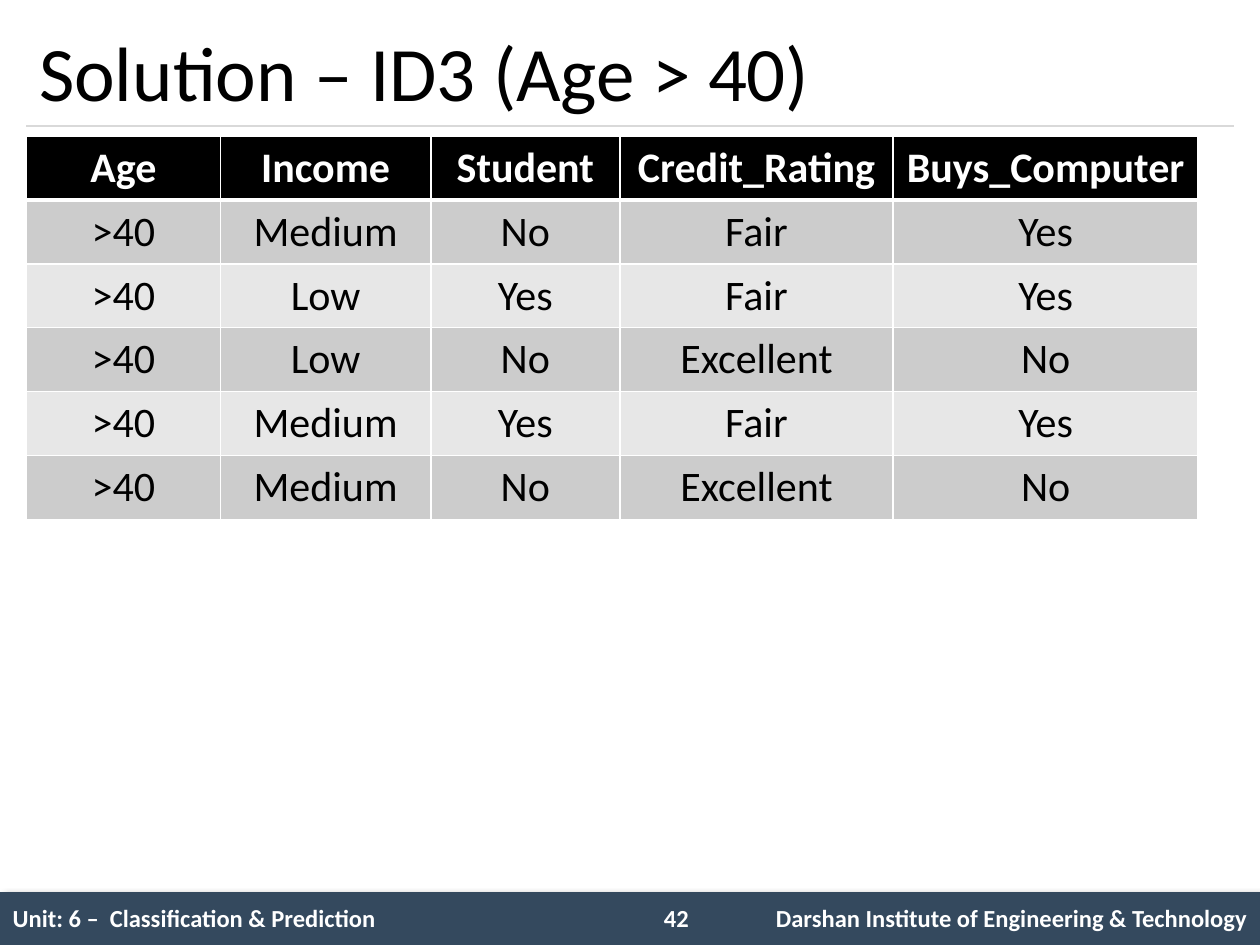
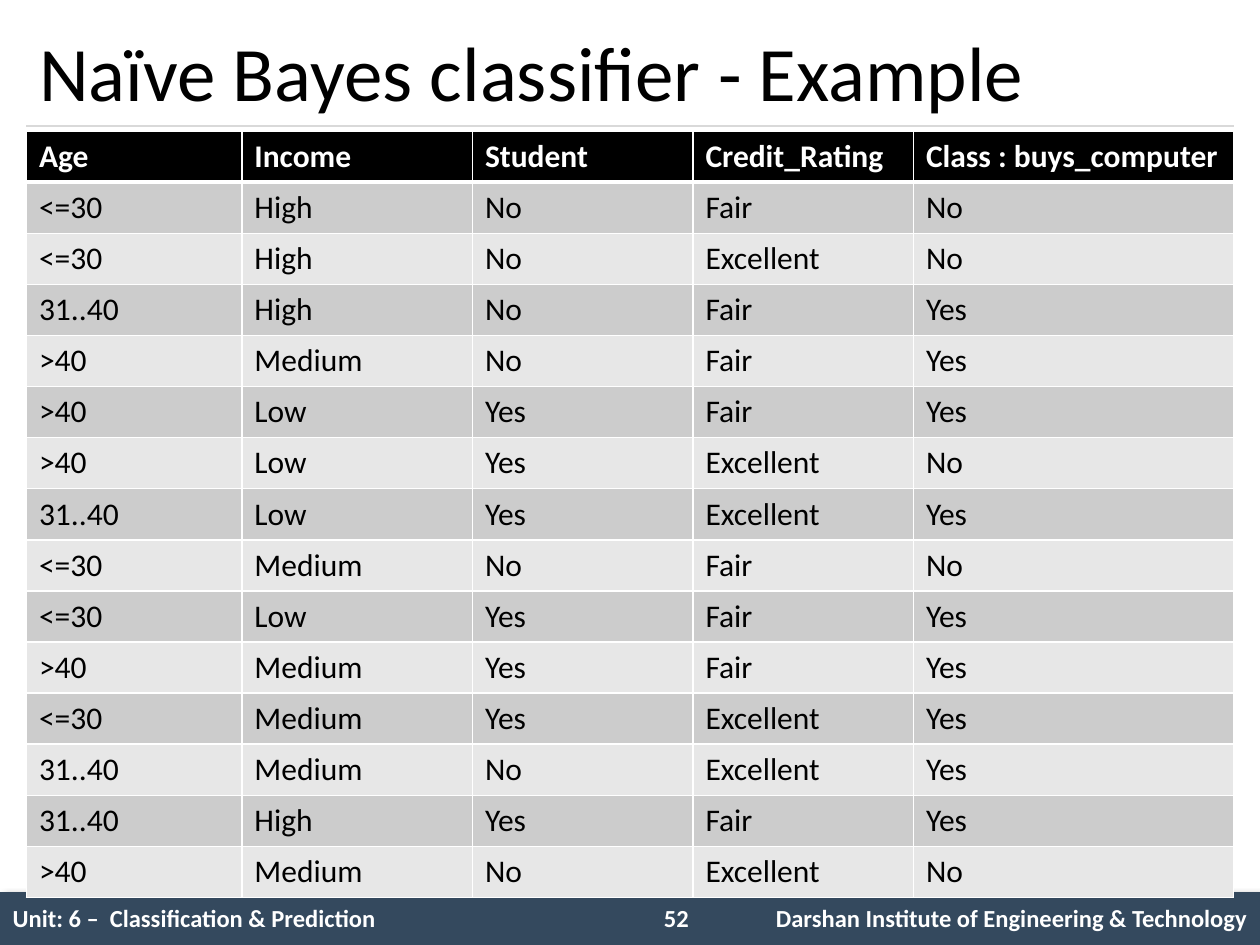
"""Build two classification slides, each with a title, a data table and a shared footer."""
import pptx
import pptx.util
import pptx.dml.color
import pptx.enum.shapes
import pptx.enum.text
import pptx.oxml
import pptx.oxml.ns

Inches = pptx.util.Inches
Pt = pptx.util.Pt
ALIGN = pptx.enum.text.PP_ALIGN
ANCHOR = pptx.enum.text.MSO_ANCHOR
FONT = "Calibri"
WHITE, BLACK, NAVY, RULE = "FFFFFF", "000000", "34495E", "D9D9D9"
BANDS = ["E7E7E7", "CCCCCC"]
PLAIN_TABLE = "{2D5ABB26-0587-4C30-8999-92F81FD0307C}"
NAMESPACE = pptx.oxml.ns.nsdecls("a")
UNIT = "Unit: 6 –  Classification & Prediction"
INSTITUTE = "Darshan Institute of Engineering & Technology"


def colour(value):
    return pptx.dml.color.RGBColor.from_string(value)


def write(frame, text, size=14, ink=WHITE, bold=False, align=ALIGN.LEFT):
    para = frame.paragraphs[0]
    para.alignment = align
    span = para.add_run()
    span.text = text
    span.font.name = FONT
    span.font.size = Pt(size)
    span.font.bold = bold
    span.font.color.rgb = colour(ink)


slides = [
    dict(title="Solution – ID3 (Age > 40)", number="42", top=1.08, row_height=0.5,
         columns=[1.54, 1.67, 1.5, 2.17, 2.42], size=24,
         align=ALIGN.CENTER, anchor=ANCHOR.TOP,
         header=["Age", "Income", "Student", "Credit_Rating", "Buys_Computer"],
         records="""
            >40 Medium No Fair Yes
            >40 Low Yes Fair Yes
            >40 Low No Excellent No
            >40 Medium Yes Fair Yes
            >40 Medium No Excellent No"""),
    dict(title="Naïve Bayes classifier - Example", number="52", top=1.04, row_height=0.4,
         columns=[1.71, 1.83, 1.75, 1.75, 2.54], size=18,
         align=ALIGN.LEFT, anchor=ANCHOR.MIDDLE,
         header=["Age", "Income", "Student", "Credit_Rating", "Class : buys_computer"],
         records="""
            <=30 High No Fair No
            <=30 High No Excellent No
            31..40 High No Fair Yes
            >40 Medium No Fair Yes
            >40 Low Yes Fair Yes
            >40 Low Yes Excellent No
            31..40 Low Yes Excellent Yes
            <=30 Medium No Fair No
            <=30 Low Yes Fair Yes
            >40 Medium Yes Fair Yes
            <=30 Medium Yes Excellent Yes
            31..40 Medium No Excellent Yes
            31..40 High Yes Fair Yes
            >40 Medium No Excellent No"""),
]

deck = pptx.Presentation()
deck.slide_width = Inches(10)
deck.slide_height = Inches(7.5)

for slide in slides:
    page = deck.slides.add_slide(deck.slide_layouts[5])
    page.background.fill.solid()
    page.background.fill.fore_color.rgb = colour(WHITE)

    band = page.shapes.add_shape(pptx.enum.shapes.MSO_SHAPE.RECTANGLE,
                                 Inches(0), Inches(7.08), Inches(10), Inches(0.42))
    band.fill.solid()
    band.fill.fore_color.rgb = colour(NAVY)
    band.line.fill.background()
    band.shadow.inherit = False
    effects = band._element.spPr.find(pptx.oxml.ns.qn("a:effectLst"))
    effects.append(pptx.oxml.parse_xml(
        f'<a:outerShdw {NAMESPACE} blurRad="{Pt(4)}" dist="{Pt(3)}" dir="2700000">'
        f'<a:srgbClr val="{BLACK}"><a:alpha val="40000"/></a:srgbClr></a:outerShdw>'))

    rule = page.shapes.add_connector(pptx.enum.shapes.MSO_CONNECTOR.STRAIGHT,
                                     Inches(0.21), Inches(1), Inches(9.79), Inches(1))
    rule.line.color.rgb = colour(RULE)
    rule.line.width = Pt(0.75)
    rule._element.spPr.append(pptx.oxml.parse_xml(f"<a:effectLst {NAMESPACE}/>"))

    title = page.shapes.title
    title.left, title.top = Inches(0.21), Inches(0.12)
    title.width, title.height = Inches(9.58), Inches(0.88)
    title.text_frame.auto_size = pptx.enum.text.MSO_AUTO_SIZE.NONE
    title.text_frame.vertical_anchor = ANCHOR.MIDDLE
    write(title.text_frame, slide["title"], size=44, ink=BLACK)

    records = [line.split() for line in slide["records"].strip().splitlines()]
    footer = dict(rows=[[UNIT, "", INSTITUTE]], columns=[5.08, 0.67, 4.25],
                  left=0, top=7.08, row_height=0.43, size=14, anchor=ANCHOR.MIDDLE,
                  aligns=[ALIGN.LEFT, ALIGN.LEFT, ALIGN.RIGHT], grid=False)
    data = dict(rows=[slide["header"]] + records, columns=slide["columns"],
                left=0.21, top=slide["top"], row_height=slide["row_height"],
                size=slide["size"], anchor=slide["anchor"],
                aligns=[slide["align"]] * 5, grid=True)

    for layout in (footer, data):
        rows, columns = layout["rows"], layout["columns"]
        frame = page.shapes.add_table(
            len(rows), len(columns), Inches(layout["left"]), Inches(layout["top"]),
            Inches(sum(columns)), Inches(layout["row_height"] * len(rows)))
        table = frame.table
        table._tbl.tblPr.find(pptx.oxml.ns.qn("a:tableStyleId")).text = PLAIN_TABLE
        table.horz_banding = False
        for column, width in zip(table.columns, columns):
            column.width = Inches(width)
        for row_index, row in enumerate(rows):
            table.rows[row_index].height = Inches(layout["row_height"])
            for column_index, text in enumerate(row):
                cell = table.cell(row_index, column_index)
                cell.vertical_anchor = layout["anchor"]
                is_header = row_index == 0
                if text:
                    write(cell.text_frame, text, size=layout["size"], bold=is_header,
                          ink=WHITE if is_header else BLACK,
                          align=layout["aligns"][column_index])
                if not layout["grid"]:
                    cell.fill.background()
                    continue
                cell.fill.solid()
                cell.fill.fore_color.rgb = colour(BLACK if is_header else BANDS[row_index % 2])
                borders = dict(L=1, R=1, T=3 if row_index == 1 else 1, B=3 if is_header else 1)
                for position, (side, width) in enumerate(borders.items()):
                    cell._tc.tcPr.insert(position, pptx.oxml.parse_xml(
                        f'<a:ln{side} {NAMESPACE} w="{Pt(width)}"><a:solidFill>'
                        f'<a:srgbClr val="{WHITE}"/></a:solidFill></a:ln{side}>'))

    number = page.shapes.add_textbox(Inches(5.17), Inches(7.12), Inches(0.58), Inches(0.34))
    number.text_frame.word_wrap = True
    write(number.text_frame, slide["number"], bold=True)

deck.save("out.pptx")
